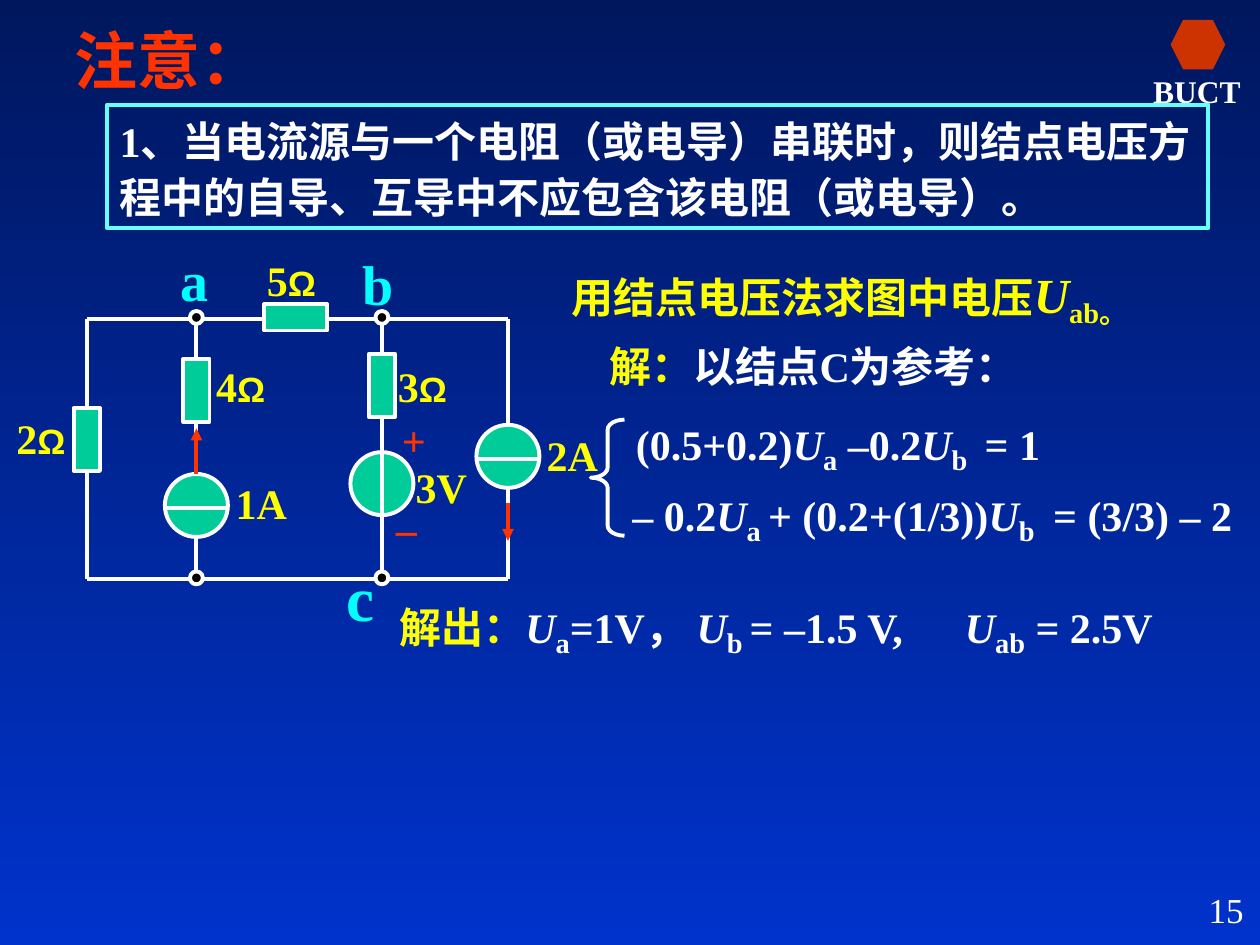
from lxml import etree
from pptx import Presentation
from pptx.dml.color import RGBColor
from pptx.enum.shapes import MSO_CONNECTOR, MSO_SHAPE
from pptx.enum.text import MSO_ANCHOR, PP_ALIGN
from pptx.oxml.ns import qn
from pptx.util import Cm, Pt

STRAIGHT = MSO_CONNECTOR.STRAIGHT
RECTANGLE = MSO_SHAPE.RECTANGLE
OVAL = MSO_SHAPE.OVAL
BRACE = MSO_SHAPE.LEFT_BRACE
HEXAGON = MSO_SHAPE.HEXAGON
TOP = MSO_ANCHOR.TOP
MIDDLE = MSO_ANCHOR.MIDDLE
LEFT = PP_ALIGN.LEFT
CENTER = PP_ALIGN.CENTER
RIGHT = PP_ALIGN.RIGHT
JUSTIFY = PP_ALIGN.JUSTIFY

WHITE, YELLOW, RED, CYAN, GREEN = "FFFFFF", "FFFF00", "FF3300", "00FFFF", "00CC99"
VARIABLE = {"italic": True}
SUBSCRIPT = {"size": 28, "baseline": -20000}
LEFT_X, A_X, B_X, RIGHT_X = 1.75, 3.96, 7.7, 10.24
TOP_Y, BOTTOM_Y = 6.43, 11.68
STROKE = 2.25


def rgb(value):
    return RGBColor.from_string(value)


def add_text(paragraph, text, size=24, color=WHITE, bold=True, italic=False,
             font="Times New Roman", baseline=None):
    run = paragraph.add_run()
    run.text = text
    run.font.size = Pt(size)
    run.font.name = font
    run.font.bold = bold
    run.font.italic = italic
    run.font.color.rgb = rgb(color)
    if baseline:
        run._r.get_or_add_rPr().set("baseline", str(baseline))


def fill_frame(frame, runs, align=LEFT, anchor=TOP, spacing=1.0, tab=None):
    frame.word_wrap = True
    frame.vertical_anchor = anchor
    paragraph = frame.paragraphs[0]
    paragraph.alignment = align
    paragraph.line_spacing = spacing
    if tab:
        tabs = etree.SubElement(paragraph._p.get_or_add_pPr(), qn("a:tabLst"))
        etree.SubElement(tabs, qn("a:tab"), pos=str(Cm(tab)), algn="l")
    for text, style in runs:
        add_text(paragraph, text, **style)


def add_box(slide, left, top, width, height, runs, **layout):
    box = slide.shapes.add_textbox(Cm(left), Cm(top), Cm(width), Cm(height))
    fill_frame(box.text_frame, runs, **layout)
    return box


def add_outline(slide, kind, left, top, width, height, fill=None, line=WHITE):
    outline = slide.shapes.add_shape(kind, Cm(left), Cm(top), Cm(width), Cm(height))
    outline.shadow.inherit = False
    if fill:
        outline.fill.solid()
        outline.fill.fore_color.rgb = rgb(fill)
    else:
        outline.fill.background()
    if line:
        outline.line.color.rgb = rgb(line)
        outline.line.width = Pt(STROKE)
    else:
        outline.line.fill.background()
    return outline


def add_part(slide, kind, center_x, center_y, width, height, fill=GREEN):
    add_outline(slide, kind, center_x - width / 2, center_y - height / 2,
                width, height, fill)


def add_wire(slide, x1, y1, x2, y2, color=WHITE, arrow=False):
    wire = slide.shapes.add_connector(STRAIGHT, Cm(x1), Cm(y1), Cm(x2), Cm(y2))
    wire.line.color.rgb = rgb(color)
    wire.line.width = Pt(STROKE)
    if arrow:
        etree.SubElement(wire.line._get_or_add_ln(), qn("a:tailEnd"), type="triangle")
    etree.SubElement(wire._element.spPr, qn("a:effectLst"))


def paint_background(slide):
    fill = slide.background.fill
    fill.gradient()
    fill.gradient_angle = 270
    for stop, color in zip(fill.gradient_stops, ("00175E", "0033CC")):
        stop.color.rgb = rgb(color)


def add_heading(slide):
    title = slide.shapes.title
    title.left, title.top, title.width, title.height = Cm(1.24), Cm(0), Cm(5.08), Cm(2.08)
    fill_frame(title.text_frame, [("注意：", {"size": 36, "color": RED})],
               align=JUSTIFY, spacing=1.2)
    add_outline(slide, HEXAGON, 23.6, 0.4, 1.1, 1.0, "CC3300", None)
    school = add_box(slide, 23.04, 1.45, 2.18, 0.76, [("BUCT", {"size": 18})],
                     align=CENTER, anchor=MIDDLE).text_frame
    school.margin_left = school.margin_right = 0
    school.margin_top = school.margin_bottom = 0
    rule = add_outline(slide, RECTANGLE, 2.16, 2.11, 22.2, 2.49, line="66FFFF")
    rule_text = ("1、当电流源与一个电阻（或电导）串联时，则结点电压方程中的"
                 "自导、互导中不应包含该电阻（或电导）。")
    fill_frame(rule.text_frame, [(rule_text, {})], spacing=1.1)


def add_solution(slide):
    yellow = {"color": YELLOW}
    add_box(slide, 11.28, 4.95, 12.85, 1.83,
            [("用结点电压法求图中电压", yellow),
             ("U", {**yellow, **VARIABLE, "size": 28}),
             ("ab。", {**yellow, **SUBSCRIPT})], align=JUSTIFY, spacing=1.2)
    add_box(slide, 12.04, 6.53, 11.25, 1.47,
            [("解：", yellow), ("以结点C为参考：", {})], align=JUSTIFY, spacing=1.2)
    add_box(slide, 12.57, 8.18, 9.75, 1.55,
            [("(0.5+0.2)", {}), ("U", VARIABLE), ("a", SUBSCRIPT), (" –0.2", {}),
             ("U", VARIABLE), ("b", SUBSCRIPT), ("\t= 1", {})], tab=7.03)
    add_box(slide, 12.5, 9.6, 13, 1.55,
            [("– 0.2", {}), ("U", VARIABLE), ("a ", SUBSCRIPT), ("+ (0.2+(1/3))", {}),
             ("U", VARIABLE), ("b", SUBSCRIPT), ("\t= (3/3) – 2", {})], tab=8.48)
    brace = add_outline(slide, BRACE, 11.91, 8.46, 0.68, 2.34)
    brace.adjustments[0] = 0.3
    add_box(slide, 7.8, 11.61, 16.33, 1.83,
            [("解出：", yellow), ("U", VARIABLE), ("a", SUBSCRIPT), ("=1V， ", {}),
             ("U", VARIABLE), ("b ", SUBSCRIPT), ("= –1.5 V,\t", {}),
             ("U", VARIABLE), ("ab", SUBSCRIPT), (" = 2.5V", {})],
            align=JUSTIFY, spacing=1.2, tab=11.4)


def add_circuit(slide):
    source = 1.27
    add_part(slide, OVAL, B_X, 9.75, source, source)
    for x in (LEFT_X, A_X, B_X, RIGHT_X):
        add_wire(slide, x, TOP_Y, x, BOTTOM_Y)
    for y in (TOP_Y, BOTTOM_Y):
        add_wire(slide, LEFT_X, y, RIGHT_X, y)
    for x, y in ((A_X, 10.19), (RIGHT_X, 9.2)):
        add_part(slide, OVAL, x, y, source, source)
        add_wire(slide, x - source / 2, y + 0.05, x + source / 2, y + 0.05)
    add_wire(slide, A_X, 9.55, A_X, 8.64, RED, arrow=True)
    add_wire(slide, RIGHT_X, 10.13, RIGHT_X, 10.9, RED, arrow=True)
    for x, y in ((LEFT_X, 8.86), (A_X, 7.87), (B_X, 7.77)):
        add_part(slide, RECTANGLE, x, y, 0.53, 1.27)
    add_part(slide, RECTANGLE, 5.96, 6.4, 1.27, 0.53)
    for x in (A_X, B_X):
        for y in (6.4, 11.65):
            add_part(slide, OVAL, x, y, 0.26, 0.26, "000000")


def add_labels(slide):
    for value, left, top in (("5", 5.13, 5), ("4", 4.11, 7.14),
                             ("3", 7.77, 7.14), ("2", 0.08, 8.2)):
        add_box(slide, left, top, 1.8, 1.27,
                [(value, {"color": YELLOW}),
                 ("Ω", {"color": YELLOW, "size": 20, "font": "Arial"})])
    for value, left, top in (("1A", 4.5, 9.5), ("3V", 8.13, 9.17), ("2A", 10.77, 8.53)):
        add_box(slide, left, top, 1.75, 1.27, [(value, {"color": YELLOW})])
    for sign, left, top in (("+", 7.85, 8.23), ("_", 7.72, 9.73)):
        add_box(slide, left, top, 0.94, 1.27, [(sign, {"color": RED})],
                align=CENTER, anchor=MIDDLE)
    for node, left, top, size in (("a", 3.38, 4.83, 32), ("b", 7.06, 4.9, 32),
                                  ("c", 6.73, 11.13, 36)):
        add_box(slide, left, top, 1.19, 1.7, [(node, {"color": CYAN, "size": size})])


def main():
    deck = Presentation()
    deck.slide_width, deck.slide_height = Cm(25.4), Cm(19.05)
    slide = deck.slides.add_slide(deck.slide_layouts[5])
    paint_background(slide)
    add_heading(slide)
    add_solution(slide)
    add_circuit(slide)
    add_labels(slide)
    add_box(slide, 20.04, 17.78, 5.28, 1.27,
            [("15", {"size": 20, "bold": False})], align=RIGHT)
    deck.save("out.pptx")


if __name__ == "__main__":
    main()
